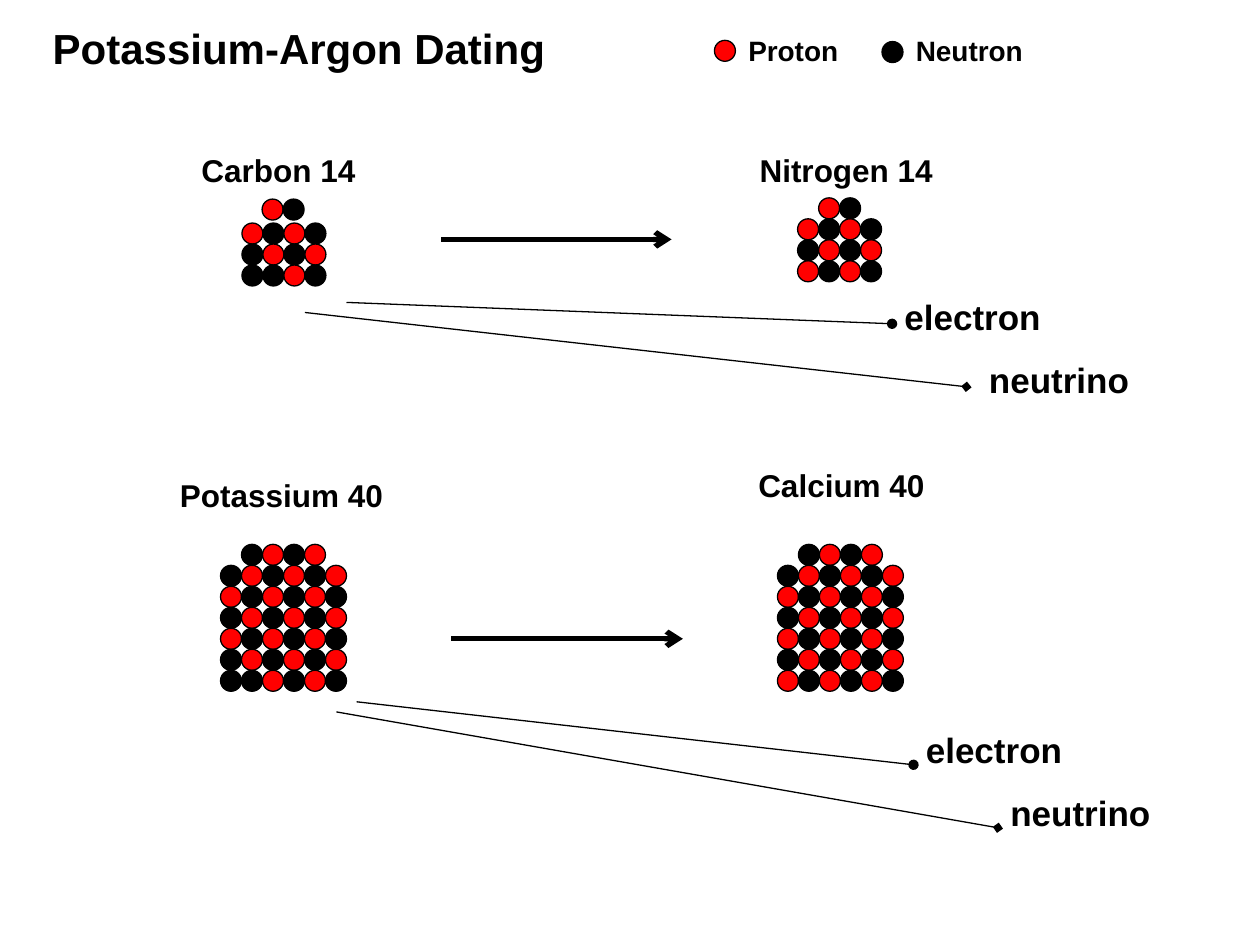
"""Build the potassium-argon dating slide with its two decay reactions."""

from dataclasses import dataclass

from lxml.etree import SubElement
from pptx import Presentation
from pptx.dml.color import RGBColor
from pptx.enum.shapes import MSO_CONNECTOR as Connector, MSO_SHAPE as Shape
from pptx.enum.text import MSO_AUTO_SIZE as AutoSize
from pptx.oxml.ns import qn
from pptx.slide import Slide
from pptx.util import Inches, Pt


@dataclass(frozen=True)
class Theme:
    font: str = "Arial"
    ink: RGBColor = RGBColor(0, 0, 0)
    proton: RGBColor = RGBColor(255, 0, 0)
    neutron: RGBColor = RGBColor(0, 0, 0)
    title_size: float = 24
    particle_size: float = 20
    nucleus_size: float = 18
    legend_size: float = 16
    thin: float = 0.75
    thick: float = 3
    nucleon: float = 1 / 6


@dataclass(frozen=True)
class Label:
    text: str
    left: float
    top: float
    width: float
    height: float
    size: float


@dataclass(frozen=True)
class Cluster:
    left: float
    top: float
    rows: tuple[str, ...]


@dataclass(frozen=True)
class Ray:
    start: tuple[float, float]
    end: tuple[float, float]
    head: str
    width: float


THEME = Theme()
CALCIUM_ROWS = (".NPNP.",) + ("NPNPNP", "PNPNPN") * 3
POTASSIUM_ROWS = CALCIUM_ROWS[:-1] + ("NNPNPN",)

CLUSTERS = (
    Cluster(2.08, 1.58, ("PN",)),
    Cluster(1.92, 1.77, ("PNPN", "NPNP", "NNPN")),
    Cluster(6.33, 1.57, (".PN.", "PNPN", "NPNP", "PNPN")),
    Cluster(1.75, 4.32, POTASSIUM_ROWS),
    Cluster(6.17, 4.32, CALCIUM_ROWS),
    Cluster(5.67, 0.32, ("P",)),
    Cluster(7, 0.33, ("N",)),
)

RAYS = (
    Ray((2.75, 2.4), (7.08, 2.57), "oval", THEME.thin),
    Ray((2.42, 2.48), (7.67, 3.07), "diamond", THEME.thin),
    Ray((3.5, 1.9), (5.33, 1.9), "arrow", THEME.thick),
    Ray((2.83, 5.57), (7.25, 6.07), "oval", THEME.thin),
    Ray((2.67, 5.65), (7.92, 6.57), "diamond", THEME.thin),
    Ray((3.58, 5.07), (5.42, 5.07), "arrow", THEME.thick),
)

LABELS = (
    Label("Potassium-Argon Dating", 0.32, 0.13, 4.15, 0.5, THEME.title_size),
    Label("Proton", 5.84, 0.22, 0.95, 0.37, THEME.legend_size),
    Label("Neutron", 7.17, 0.22, 1.48, 0.37, THEME.legend_size),
    Label("Carbon 14", 1.5, 1.15, 1.45, 0.4, THEME.nucleus_size),
    Label("Nitrogen 14", 5.93, 1.15, 1.61, 0.4, THEME.nucleus_size),
    Label("electron", 7.08, 2.3, 1.5, 0.44, THEME.particle_size),
    Label("neutrino", 7.75, 2.8, 1.35, 0.44, THEME.particle_size),
    Label("Potassium 40", 1.33, 3.73, 1.92, 0.4, THEME.nucleus_size),
    Label("Calcium 40", 5.92, 3.65, 1.56, 0.4, THEME.nucleus_size),
    Label("electron", 7.25, 5.73, 1.5, 0.44, THEME.particle_size),
    Label("neutrino", 7.92, 6.23, 1.35, 0.44, THEME.particle_size),
)


def draw_nucleon(slide: Slide, left: float, top: float, color: RGBColor) -> None:
    """Draw one outlined particle."""
    size = Inches(THEME.nucleon)
    nucleon = slide.shapes.add_shape(Shape.OVAL, Inches(left), Inches(top), size, size)
    nucleon.shadow.inherit = False
    nucleon.fill.solid()
    nucleon.fill.fore_color.rgb = color
    nucleon.line.color.rgb = THEME.ink
    nucleon.line.width = Pt(THEME.thin)


def draw_cluster(slide: Slide, cluster: Cluster) -> None:
    """Draw protons (P) and neutrons (N) on a touching grid."""
    colors = {"P": THEME.proton, "N": THEME.neutron}
    for row, kinds in enumerate(cluster.rows):
        for column, kind in enumerate(kinds):
            if kind in colors:
                left = cluster.left + column * THEME.nucleon
                top = cluster.top + row * THEME.nucleon
                draw_nucleon(slide, left, top, colors[kind])


def draw_ray(slide: Slide, ray: Ray) -> None:
    """Draw a straight line with a marker at its end."""
    points = [Inches(value) for value in ray.start + ray.end]
    connector = slide.shapes.add_connector(Connector.STRAIGHT, *points)
    connector.line.color.rgb = THEME.ink
    connector.line.width = Pt(ray.width)
    properties = connector.element.spPr
    SubElement(properties.find(qn("a:ln")), qn("a:tailEnd"), type=ray.head)
    SubElement(properties, qn("a:effectLst"))


def draw_label(slide: Slide, label: Label) -> None:
    """Draw one bold line of text."""
    bounds = (label.left, label.top, label.width, label.height)
    frame = slide.shapes.add_textbox(*map(Inches, bounds)).text_frame
    frame.word_wrap = True
    frame.auto_size = AutoSize.SHAPE_TO_FIT_TEXT
    run = frame.paragraphs[0].add_run()
    run.text = label.text
    font_format = {"name": THEME.font, "size": Pt(label.size), "bold": True}
    for attribute, value in font_format.items():
        setattr(run.font, attribute, value)
    run.font.color.rgb = THEME.ink


def main() -> None:
    """Assemble and save the slide."""
    deck = Presentation()
    deck.slide_width, deck.slide_height = Inches(10), Inches(7.5)
    slide = deck.slides.add_slide(deck.slide_layouts[6])
    for cluster in CLUSTERS:
        draw_cluster(slide, cluster)
    for ray in RAYS:
        draw_ray(slide, ray)
    for label in LABELS:
        draw_label(slide, label)
    deck.save("out.pptx")


if __name__ == "__main__":
    main()
